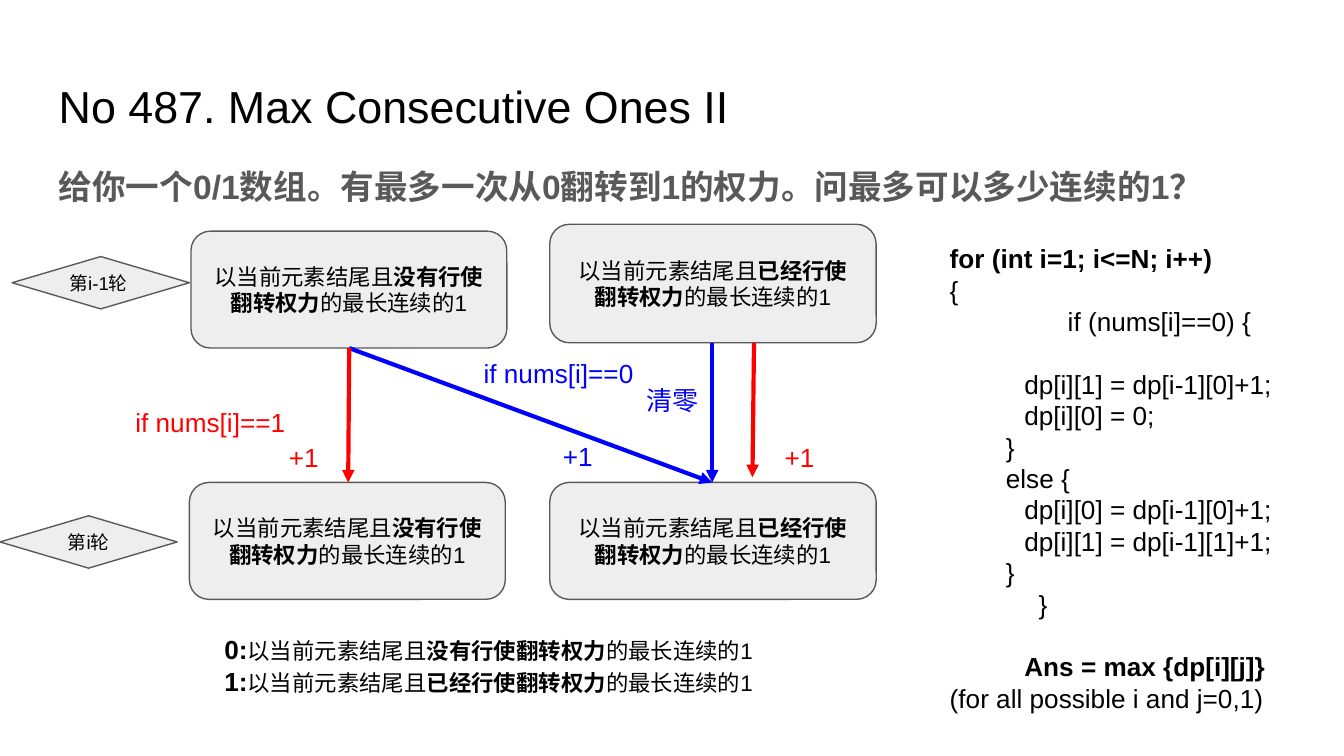
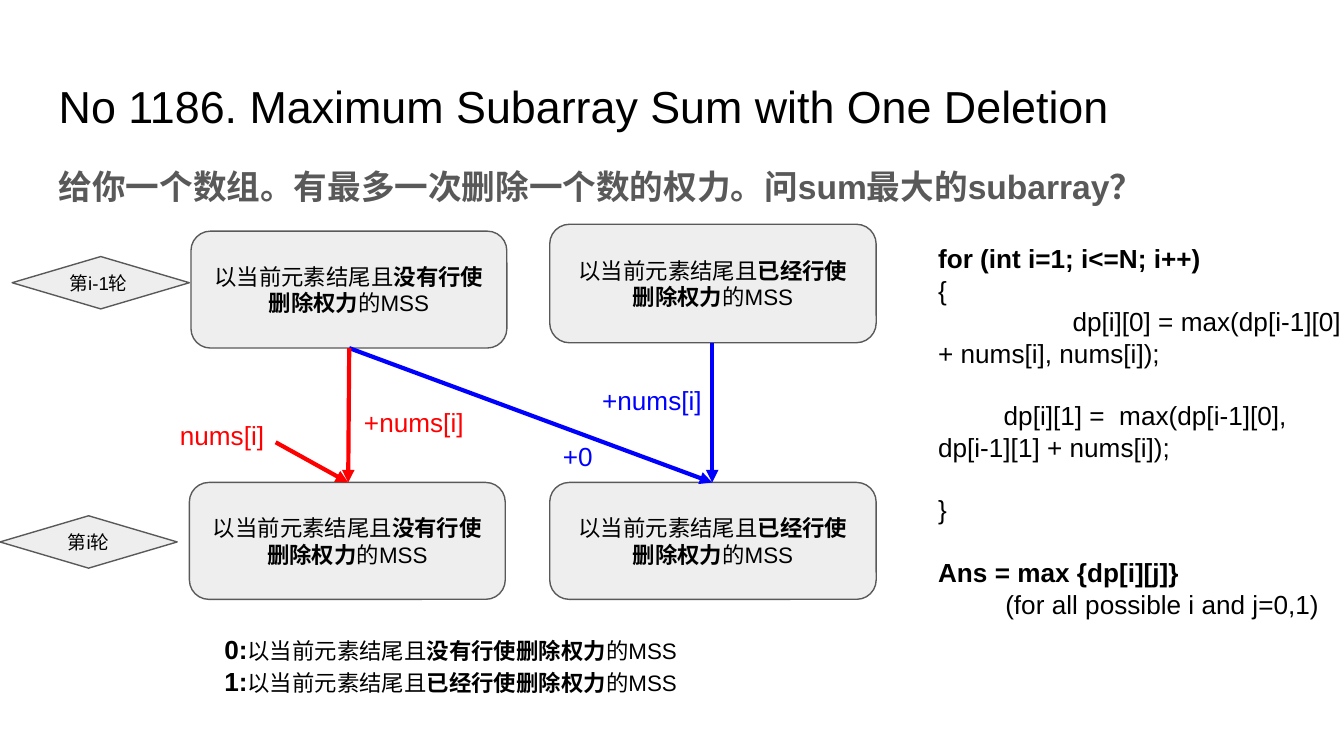
"""Builds two slides that explain dynamic programming with one spare move."""
from pptx import Presentation
from pptx.dml.color import RGBColor
from pptx.enum.shapes import MSO_CONNECTOR, MSO_SHAPE
from pptx.enum.text import MSO_ANCHOR, PP_ALIGN
from pptx.oxml.ns import qn
from pptx.util import Cm, Pt
from lxml import etree

ROUNDED = MSO_SHAPE.ROUNDED_RECTANGLE
DIAMOND = MSO_SHAPE.FLOWCHART_DECISION
STRAIGHT = MSO_CONNECTOR.STRAIGHT
TOP, MIDDLE = MSO_ANCHOR.TOP, MSO_ANCHOR.MIDDLE
LEFT, CENTER = PP_ALIGN.LEFT, PP_ALIGN.CENTER

FONT = "Arial"
BLACK, GRAY, PALE = "000000", "595959", "EEEEEE"
RED, BLUE = "FF0000", "0000FF"
INSET = 0.25
CODE_LINE = 16.8
HANGING = 1.27
STATES = ("没有行使", "已经行使")

HEADER_BOX = (0.86, 1.24, 23.67, 3.61)
DIAGRAM_BOX = (0, 4.24, 16.56, 7.1)
LEGEND_BOX = (2.72, 11.73, 12.7, 2.54)

FLIP = {
    "title": "No 487. Max Consecutive Ones II",
    "question": "给你一个0/1数组。有最多一次从0翻转到1的权力。问最多可以多少连续的1？",
    "power": "翻转权力",
    "measure": "的最长连续的1",
    "arrows": [((14.25, 2.24), (14.22, 4.78), RED)],
    "labels": [
        ("if nums[i]==0", 8.89, 2.26, 5.26, BLUE),
        ("if nums[i]==1", 2.31, 3.2, 3.4, RED),
        ("清零", 11.96, 2.77, 1.75, BLUE),
        ("+1", 10.39, 3.84, 1.75, BLUE),
        ("+1", 5.21, 3.86, 1.27, RED),
        ("+1", 14.58, 3.86, 1.27, RED),
    ],
    "code_box": (16.43, 4.34, 8.81, 8.51),
    "code": [
        ("for (int i=1; i<=N; i++)", HANGING, 0, 0, True),
        ("{", HANGING, 0, 0, False),
        ("if (nums[i]==0) {", 3.5, 0, 0, False),
        ("dp[i][1] = dp[i-1][0]+1;", 2.68, 0, 1, False),
        ("dp[i][0] = 0;", 2.68, 0, 0, False),
        ("}", 2.33, 0, 0, False),
        ("else {", 2.33, 0, 0, False),
        ("dp[i][0] = dp[i-1][0]+1;", 2.68, 0, 0, False),
        ("dp[i][1] = dp[i-1][1]+1;", 2.68, 0, 0, False),
        ("}", 2.33, 0, 0, False),
        ("}", 2.95, 0, 0, False),
        ("Ans = max {dp[i][j]}", 2.68, 0, 1, True),
        ("(for all possible i and j=0,1)", HANGING, 0, 0, False),
    ],
}

DELETION = {
    "title": "No 1186. Maximum Subarray Sum with One Deletion",
    "question": "给你一个数组。有最多一次删除一个数的权力。问sum最大的subarray？",
    "power": "删除权力",
    "measure": "的MSS",
    "arrows": [((5.21, 4.12), (6.58, 4.88), RED)],
    "labels": [
        ("+nums[i]", 11.13, 2.77, 2.57, BLUE),
        ("+0", 10.39, 3.84, 1.75, BLUE),
        ("+nums[i]", 6.63, 3.2, 2.57, RED),
        ("nums[i]", 3.15, 3.43, 2.57, RED),
    ],
    "code_box": (17.48, 4.34, 8.48, 8.51),
    "code": [
        ("for (int i=1; i<=N; i++)", 0, 0, 0, True),
        ("{", 0, 0, 0, False),
        ("dp[i][0] = max(dp[i-1][0] + nums[i], nums[i]);", 0, 2.54, 0, False),
        ("dp[i][1] =  max(dp[i-1][0], dp[i-1][1] + nums[i]);", 0, 1.24, 1, False),
        ("}", 0, 0, 1, False),
        ("Ans = max {dp[i][j]}", 0, 0, 1, True),
        ("(for all possible i and j=0,1)", HANGING, 0, 0, False),
    ],
}


def color(value):
    """Turn a hex string into a colour."""
    return RGBColor.from_string(value)


def prepare_frame(shape, anchor=TOP):
    """Set wrapping, insets and anchor, and return the text frame."""
    frame = shape.text_frame
    frame.word_wrap = True
    frame.vertical_anchor = anchor
    frame.margin_left = frame.margin_right = Cm(INSET)
    frame.margin_top = frame.margin_bottom = Cm(INSET)
    return frame


def write_paragraph(frame, runs, value=BLACK, align=LEFT, margin=0, first=0):
    """Write runs of (text, size, bold) as the next paragraph of a frame."""
    paragraph = frame.paragraphs[0]
    if paragraph.runs:
        paragraph = frame.add_paragraph()
    paragraph.alignment = align
    properties = paragraph._p.get_or_add_pPr()
    properties.set("marL", str(Cm(margin)))
    properties.set("indent", str(Cm(first)))
    for text, size, bold in runs:
        run = paragraph.add_run()
        run.text = text
        run.font.name = FONT
        run.font.size = Pt(size)
        run.font.bold = bold
        run.font.color.rgb = color(value)
    return paragraph


def add_text_box(slide, box):
    """Add an empty text box and return its frame."""
    return prepare_frame(slide.shapes.add_textbox(*map(Cm, box)))


def add_node(slide, kind, box, runs, align=CENTER):
    """Add a pale outlined shape with text."""
    shape = slide.shapes.add_shape(kind, *map(Cm, box))
    shape.shadow.inherit = False
    shape.fill.solid()
    shape.fill.fore_color.rgb = color(PALE)
    shape.line.color.rgb = color(GRAY)
    shape.line.width = Pt(0.75)
    write_paragraph(prepare_frame(shape, MIDDLE), runs, align=align)


def add_arrow(slide, start, end, value):
    """Add a straight arrow without a shadow."""
    arrow = slide.shapes.add_connector(STRAIGHT, *map(Cm, (*start, *end)))
    arrow.line.color.rgb = color(value)
    arrow.line.width = Pt(2.25)
    etree.SubElement(arrow.line._get_or_add_ln(), qn("a:tailEnd"), type="triangle")
    etree.SubElement(arrow._element.spPr, qn("a:effectLst"))


def state_runs(topic, state):
    """Return the runs that describe one state."""
    return [
        ("以当前元素结尾且", 12, False),
        (state + topic["power"], 12, True),
        (topic["measure"], 12, False),
    ]


def draw_header(slide, box, topic):
    """Write the title with the question below it."""
    left, top, width, height = box
    title = add_text_box(slide, (left, top, width, 1.6))
    write_paragraph(title, [(topic["title"], 24, False)])
    question = add_text_box(slide, (left, top + 1.53, width, height - 1.53))
    paragraph = write_paragraph(question, [(topic["question"], 18, True)], GRAY)
    paragraph.line_spacing = 1.15
    paragraph.space_after = Pt(16)


def draw_diagram(slide, box, topic):
    """Draw the two rounds of states and the moves between them."""
    left, top = box[:2]
    unused, used = (state_runs(topic, state) for state in STATES)
    nodes = [
        (ROUNDED, 10.39, 0, 6.17, 2.24, used, CENTER),
        (ROUNDED, 3.61, 0.13, 5.97, 2.21, unused, CENTER),
        (DIAMOND, 0.23, 0.61, 3.35, 0.99, [("第i-1轮", 10, False)], LEFT),
        (DIAMOND, 0, 5.51, 3.35, 0.99, [("第i轮", 10, False)], CENTER),
        (ROUNDED, 10.39, 4.88, 6.17, 2.21, used, CENTER),
        (ROUNDED, 3.58, 4.88, 5.97, 2.21, unused, CENTER),
    ]
    for kind, x, y, width, height, runs, align in nodes:
        add_node(slide, kind, (left + x, top + y, width, height), runs, align)
    arrows = [
        ((6.6, 2.34), (13.46, 4.88), BLUE),
        ((13.46, 2.24), (13.46, 4.88), BLUE),
        ((6.6, 2.34), (6.58, 4.88), RED),
    ]
    for start, end, value in arrows + topic["arrows"]:
        start, end = ((left + x, top + y) for x, y in (start, end))
        add_arrow(slide, start, end, value)
    for text, x, y, width, value in topic["labels"]:
        label = add_text_box(slide, (left + x, top + y, width, 0.99))
        write_paragraph(label, [(text, 14, False)], value)


def draw_code(slide, box, lines):
    """Write the code lines with their indents and gaps."""
    frame = add_text_box(slide, box)
    for text, margin, first, gap, bold in lines:
        paragraph = write_paragraph(
            frame, [(text, 14, bold)], margin=margin, first=first)
        paragraph.space_before = Pt(gap * CODE_LINE)


def draw_legend(slide, box, topic):
    """Explain the two state numbers."""
    frame = add_text_box(slide, box)
    for number, state in enumerate(STATES):
        runs = [(f"{number}:", 14, True)] + state_runs(topic, state)
        write_paragraph(frame, runs, margin=HANGING)


def build_slide(presentation, topic):
    """Add one slide for a topic."""
    slide = presentation.slides.add_slide(presentation.slide_layouts[6])
    draw_header(slide, HEADER_BOX, topic)
    draw_diagram(slide, DIAGRAM_BOX, topic)
    draw_code(slide, topic["code_box"], topic["code"])
    draw_legend(slide, LEGEND_BOX, topic)


def main():
    """Build and save the presentation."""
    presentation = Presentation()
    presentation.slide_width = Cm(25.4)
    presentation.slide_height = Cm(14.29)
    for topic in (FLIP, DELETION):
        build_slide(presentation, topic)
    presentation.save("out.pptx")


if __name__ == "__main__":
    main()
